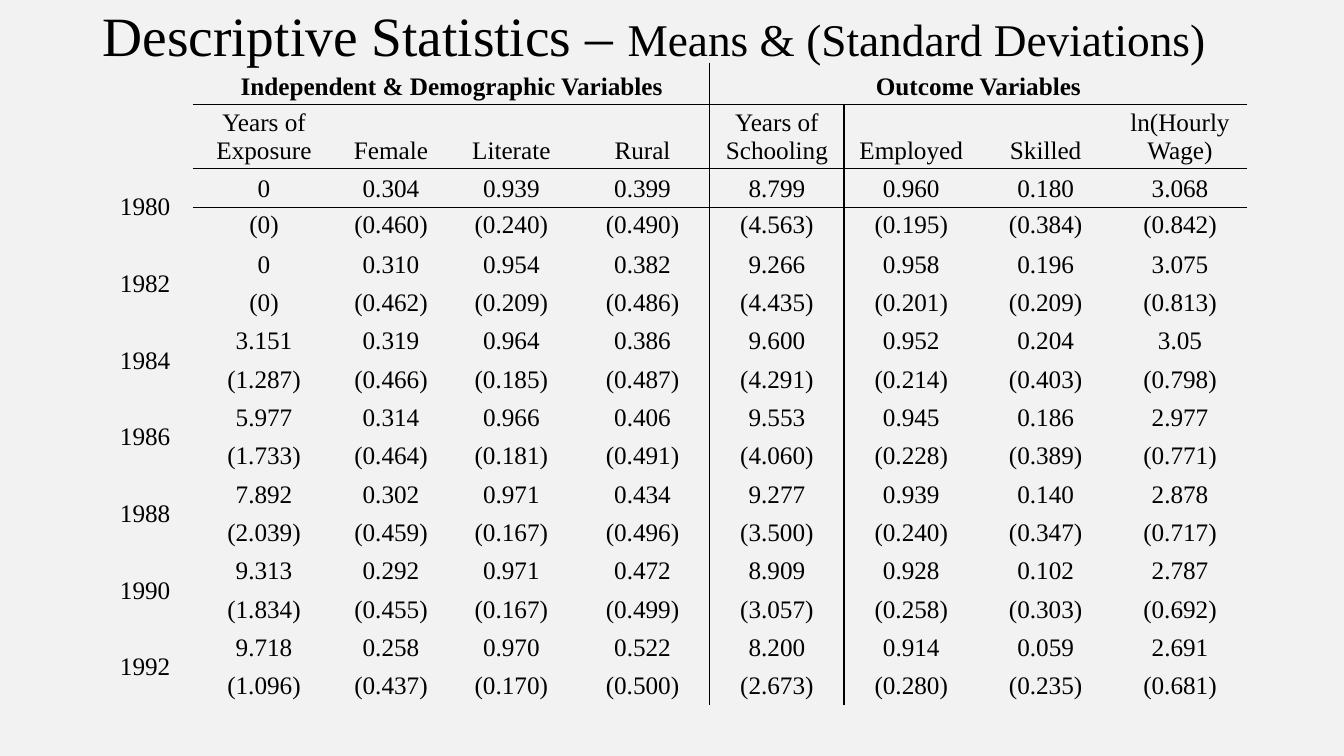
from dataclasses import dataclass

from lxml.etree import SubElement
from pptx import Presentation
from pptx.dml.color import RGBColor
from pptx.enum.text import MSO_ANCHOR, MSO_AUTO_SIZE, PP_ALIGN
from pptx.oxml.ns import qn
from pptx.slide import Slide
from pptx.table import Table, _Cell
from pptx.util import Pt

COLORS = {"back": "F2F2F2", "ink": "000000"}
FONT = "Times New Roman"
PLAIN = "{2D5ABB26-0587-4C30-8999-92F81FD0307C}"  # table style without grid
WIDTHS = [69.1, 100.8, 80.6, 91.4] + [96] * 5
HEIGHTS = [30.2] * 2 + [27.4] * 14
SPLIT = 5  # first outcome column


@dataclass
class Group:
    title: str
    start: int
    heads: list[str]


@dataclass
class Wave:
    year: str
    means: str
    devs: str


GROUPS = [
    Group("Independent & Demographic Variables", 1,
          ["Years of Exposure", "Female", "Literate", "Rural"]),
    Group("Outcome Variables", SPLIT,
          ["Years of Schooling", "Employed", "Skilled", "ln(Hourly Wage)"]),
]
WAVES = [
    Wave("1980", "0 0.304 0.939 0.399 8.799 0.960 0.180 3.068",
         "(0) (0.460) (0.240) (0.490) (4.563) (0.195) (0.384) (0.842)"),
    Wave("1982", "0 0.310 0.954 0.382 9.266 0.958 0.196 3.075",
         "(0) (0.462) (0.209) (0.486) (4.435) (0.201) (0.209) (0.813)"),
    Wave("1984", "3.151 0.319 0.964 0.386 9.600 0.952 0.204 3.05",
         "(1.287) (0.466) (0.185) (0.487) (4.291) (0.214) (0.403) (0.798)"),
    Wave("1986", "5.977 0.314 0.966 0.406 9.553 0.945 0.186 2.977",
         "(1.733) (0.464) (0.181) (0.491) (4.060) (0.228) (0.389) (0.771)"),
    Wave("1988", "7.892 0.302 0.971 0.434 9.277 0.939 0.140 2.878",
         "(2.039) (0.459) (0.167) (0.496) (3.500) (0.240) (0.347) (0.717)"),
    Wave("1990", "9.313 0.292 0.971 0.472 8.909 0.928 0.102 2.787",
         "(1.834) (0.455) (0.167) (0.499) (3.057) (0.258) (0.303) (0.692)"),
    Wave("1992", "9.718 0.258 0.970 0.522 8.200 0.914 0.059 2.691",
         "(1.096) (0.437) (0.170) (0.500) (2.673) (0.280) (0.235) (0.681)"),
]


def ink(name: str) -> RGBColor:
    return RGBColor.from_string(COLORS[name])


def add_title(slide: Slide) -> None:
    title = slide.shapes.title
    title.left, title.top, title.width, title.height = (
        Pt(66), Pt(10), Pt(828), Pt(34.6))
    frame = title.text_frame
    frame.auto_size = MSO_AUTO_SIZE.NONE
    frame.word_wrap = True
    frame.vertical_anchor = MSO_ANCHOR.MIDDLE
    line = frame.paragraphs[0]
    line.alignment = PP_ALIGN.LEFT
    line.line_spacing = 0.9
    line.font.name = FONT
    line.font.color.rgb = ink("ink")
    for text, size in (("Descriptive Statistics – ", 39.6),
                       ("Means & (Standard Deviations)", 32.4)):
        run = line.add_run()
        run.text = text
        run.font.size = Pt(size)


def add_rules(cell: _Cell, row: int, col: int) -> None:
    """Draw the borders that a cell's place in the grid calls for."""
    body = col > 0
    sides = {
        "L": col == SPLIT,
        "R": col == SPLIT - 1 or (row, col) == (0, 1),
        "T": body and row in (1, 2),
        "B": body and row in (0, 1),
    }
    props = cell._tc.get_or_add_tcPr()
    for side, shown in sides.items():
        if shown:
            edge = SubElement(props, qn(f"a:ln{side}"), w=str(Pt(1)))
            fill = SubElement(edge, qn("a:solidFill"))
            SubElement(fill, qn("a:srgbClr"), val=COLORS["ink"])


def pick_anchor(row: int, col: int) -> MSO_ANCHOR:
    if col == 0 or row > 3:
        return MSO_ANCHOR.MIDDLE
    return MSO_ANCHOR.TOP if row == 3 else MSO_ANCHOR.BOTTOM


def style_cell(cell: _Cell, row: int, col: int) -> None:
    add_rules(cell, row, col)
    cell.fill.background()
    cell.margin_left = cell.margin_right = Pt(5.8)
    cell.margin_top = cell.margin_bottom = Pt(2.9)
    cell.vertical_anchor = pick_anchor(row, col)
    line = cell.text_frame.paragraphs[0]
    line.alignment = PP_ALIGN.CENTER
    font = line.font
    font.name, font.size, font.bold = FONT, Pt(18), row == 0
    font.color.rgb = ink("ink")


def fill_grid(grid: Table) -> None:
    for group in GROUPS:
        first, last = group.start, group.start + len(group.heads) - 1
        grid.cell(0, first).text = group.title
        grid.cell(0, first).merge(grid.cell(0, last))
        for col, head in enumerate(group.heads, first):
            grid.cell(1, col).text = head
    for num, wave in enumerate(WAVES):
        top = 2 + 2 * num
        grid.cell(top, 0).text = wave.year
        grid.cell(top, 0).merge(grid.cell(top + 1, 0))
        for row, values in enumerate((wave.means, wave.devs), top):
            for col, value in enumerate(values.split(), 1):
                grid.cell(row, col).text = value


def add_grid(slide: Slide) -> None:
    frame = slide.shapes.add_table(
        len(HEIGHTS), len(WIDTHS), Pt(69.1), Pt(44.7),
        Pt(sum(WIDTHS)), Pt(sum(HEIGHTS)))
    grid = frame.table
    grid.first_row = grid.horz_banding = False
    next(frame._element.iter(qn("a:tableStyleId"))).text = PLAIN
    for column, width in zip(grid.columns, WIDTHS):
        column.width = Pt(width)
    for line, height in zip(grid.rows, HEIGHTS):
        line.height = Pt(height)
    fill_grid(grid)
    for row in range(len(HEIGHTS)):
        for col in range(len(WIDTHS)):
            style_cell(grid.cell(row, col), row, col)


def main() -> None:
    deck = Presentation()
    deck.slide_width, deck.slide_height = Pt(960), Pt(540)
    slide = deck.slides.add_slide(deck.slide_layouts[5])
    slide.background.fill.solid()
    slide.background.fill.fore_color.rgb = ink("back")
    add_title(slide)
    add_grid(slide)
    deck.save("out.pptx")


if __name__ == "__main__":
    main()
